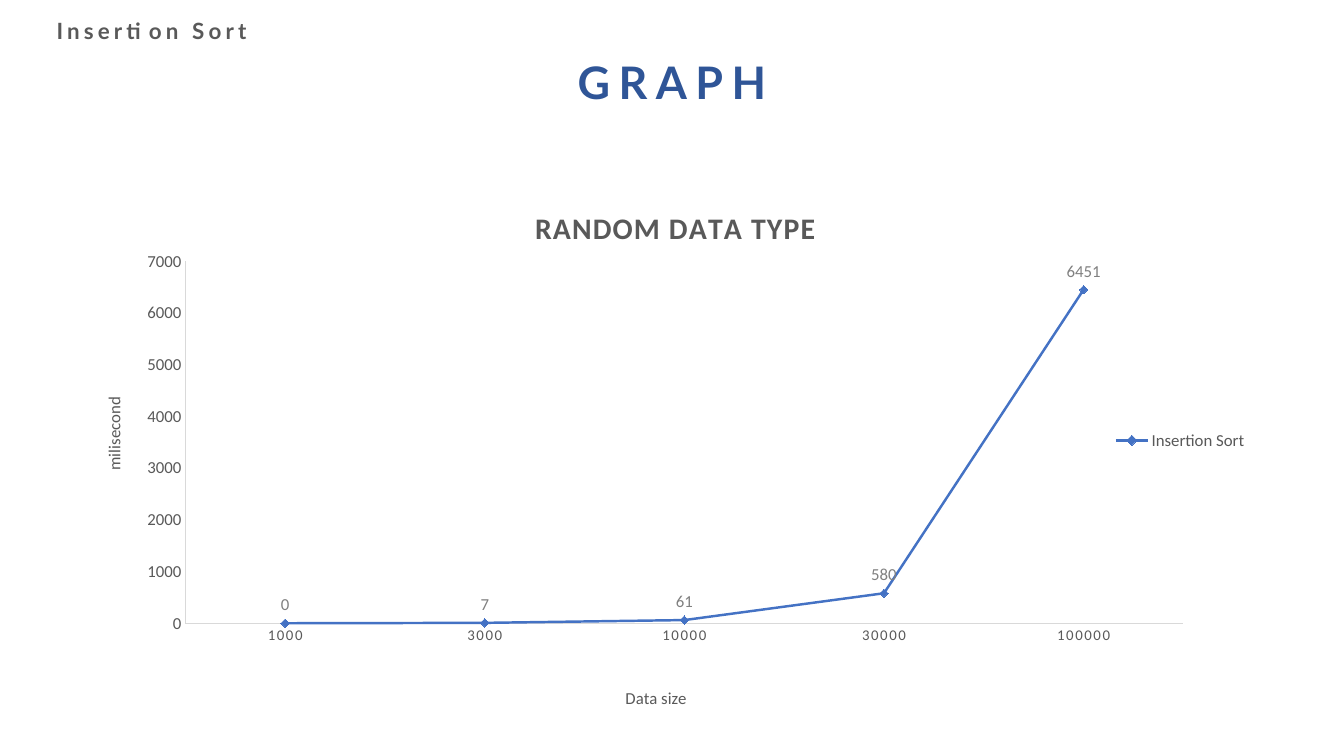
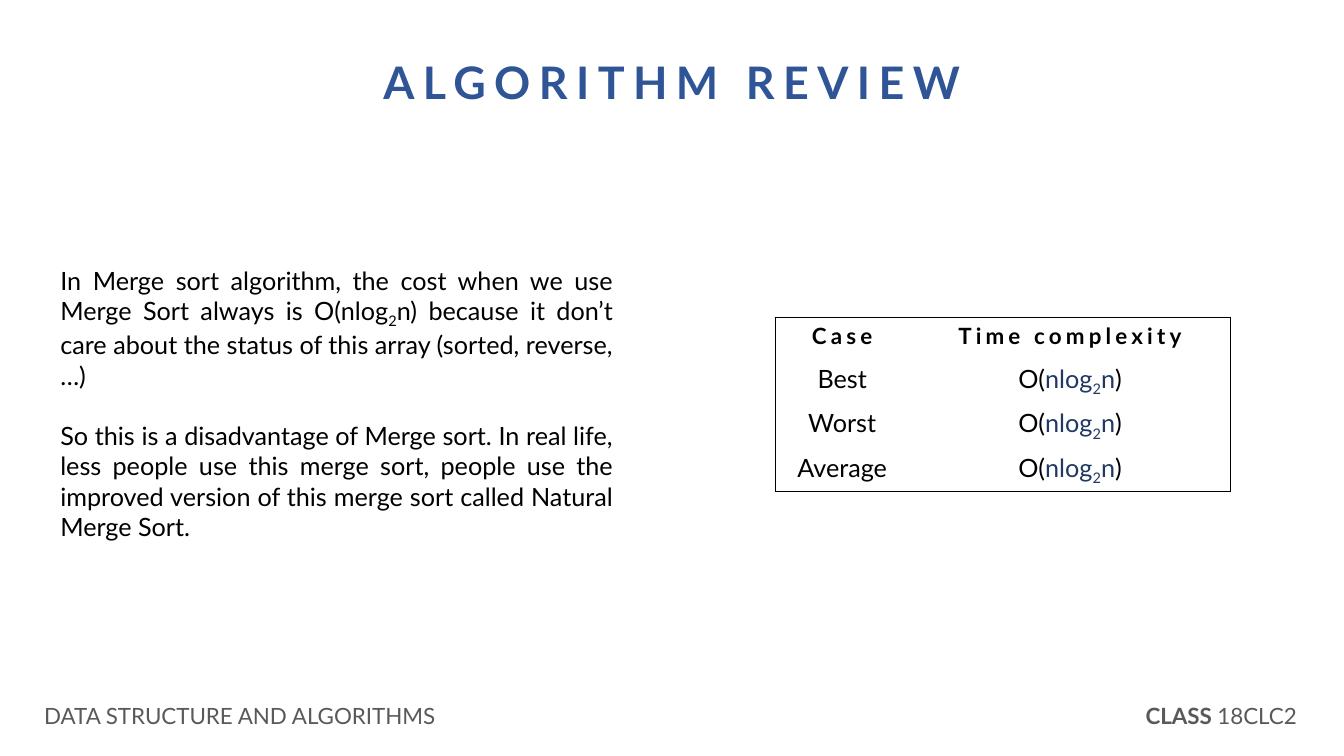
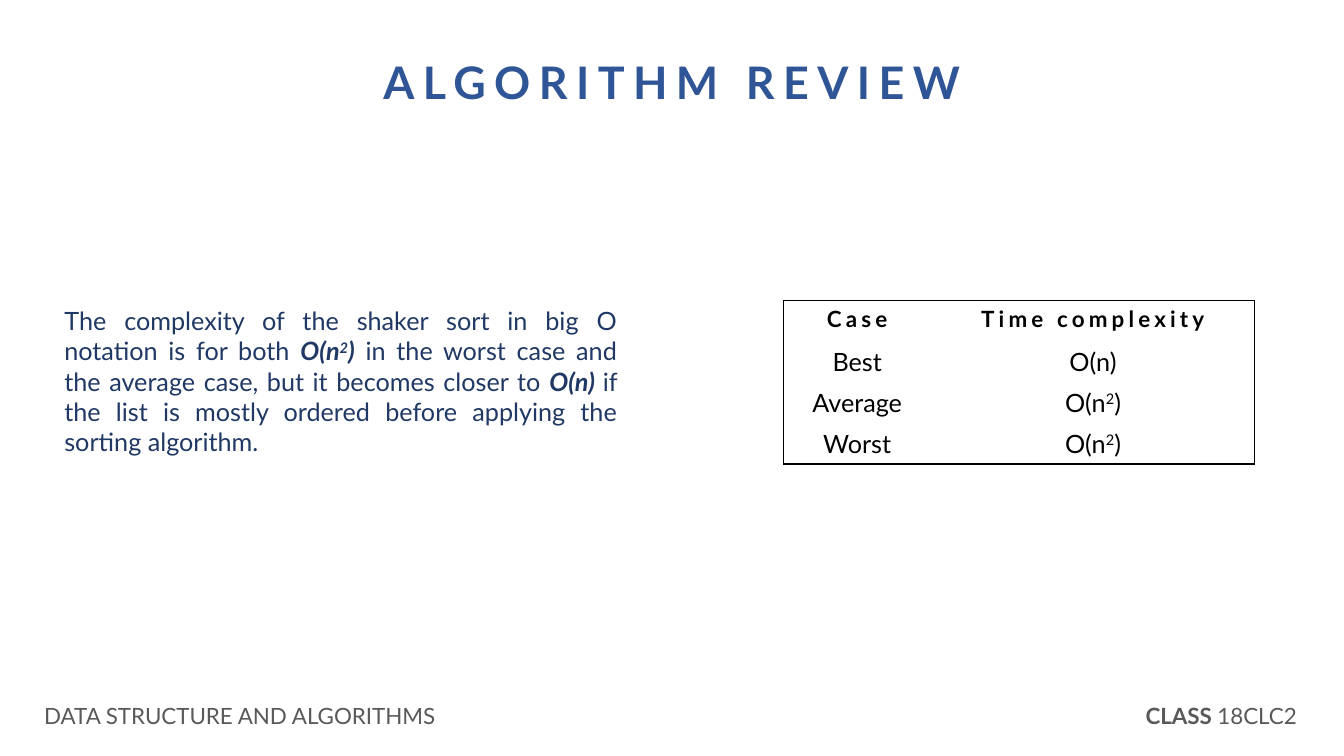
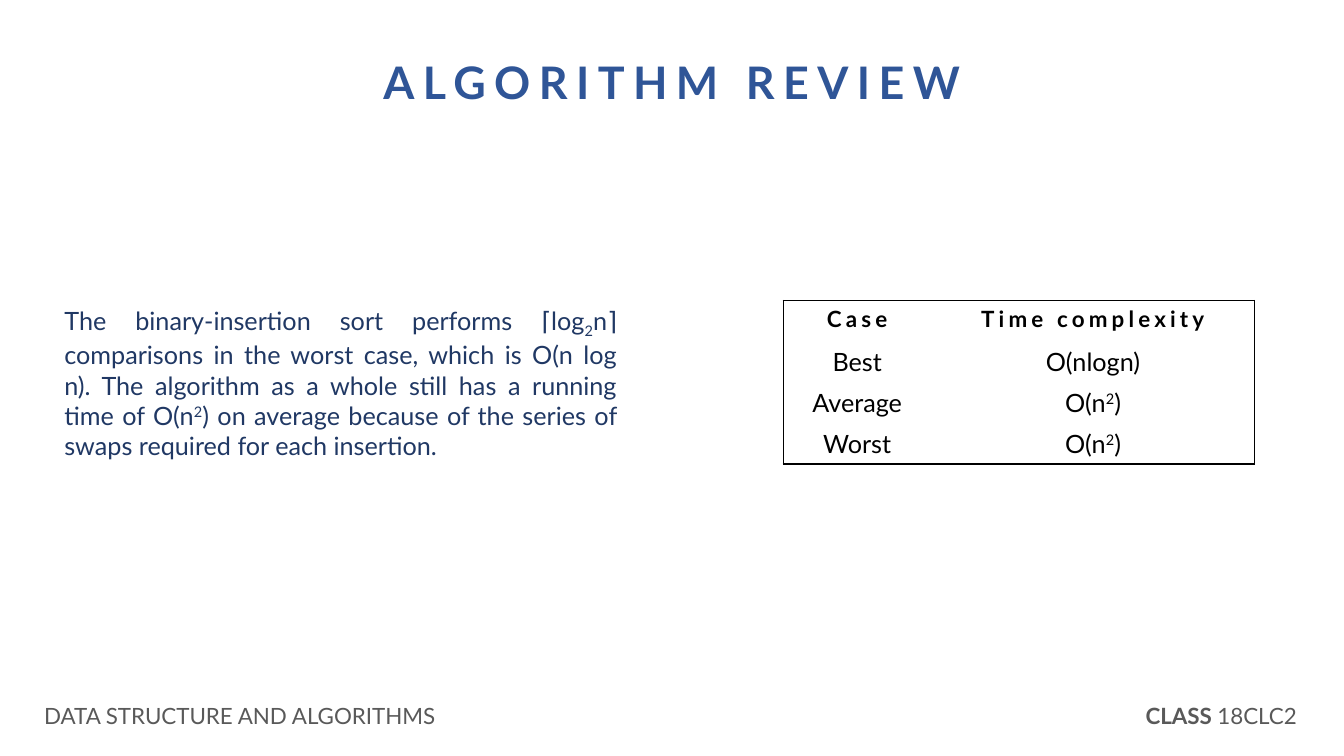
import pptx
import pptx.chart.data
import pptx.dml.color
import pptx.enum.chart
import pptx.enum.text
import pptx.oxml
import pptx.oxml.ns
import pptx.util

Pt = pptx.util.Pt
color = pptx.dml.color.RGBColor.from_string
qn = pptx.oxml.ns.qn
align = pptx.enum.text.PP_ALIGN
BLUE, NAVY, GRAY, BLACK = "2F5597", "203864", "595959", "000000"
AXIS_LINE, SERIES_LINE, LABEL_GRAY = "D9D9D9", "4472C4", "808080"
SUB = {"baseline": "-25000"}
SUP = {"baseline": "30000"}
STRONG = {"b": "1", "i": "1"}
SLIDE_WIDTH, SLIDE_HEIGHT = 960, 540


def write(paragraph, runs, size, hue, bold=False, spacing=0, alignment=align.CENTER, face="Lato"):
    paragraph.alignment = alignment
    paragraph.font.size = Pt(size)
    paragraph.font.name = face
    paragraph.font.bold = bold
    paragraph.font.color.rgb = color(hue)
    for text, marks in [(runs, {})] if isinstance(runs, str) else runs:
        run = paragraph.add_run()
        run.text = text
        if spacing:
            run.font._element.set("spc", str(int(spacing * 100)))
        for key, value in marks.items():
            if key == "color":
                run.font.color.rgb = color(value)
            else:
                run.font._element.set(key, value)


def add_text(slide, box, paragraphs, size, hue, gap=0, **style):
    frame = slide.shapes.add_textbox(*map(Pt, box)).text_frame
    frame.word_wrap = True
    frame.auto_size = pptx.enum.text.MSO_AUTO_SIZE.SHAPE_TO_FIT_TEXT
    for index, runs in enumerate(paragraphs):
        paragraph = frame.add_paragraph() if index else frame.paragraphs[0]
        if index:
            paragraph.space_before = Pt(gap)
        write(paragraph, runs, size, hue, **style)


deck = pptx.Presentation()
deck.slide_width, deck.slide_height = Pt(SLIDE_WIDTH), Pt(SLIDE_HEIGHT)

n_log_n = [("O(", {}), ("nlog", {"color": NAVY}), ("2", {"color": NAVY, **SUB}),
           ("n", {"color": NAVY}), (")", {})]
n_squared = [("O(n", {}), ("2", SUP), (")", {})]

reviews = [
    {
        "body_box": (36, 185.8, 409, 181.4),
        "hue": BLACK,
        "body": [
            [("In Merge sort algorithm, the cost when we use Merge Sort always is O(nlog", {}),
             ("2", SUB),
             ("n) because it don’t care about the status of this array (sorted, reverse, …)", {})],
            "So this is a disadvantage of Merge sort. In real life, less people use this merge sort, "
            "people use the improved version of this merge sort called Natural Merge Sort.",
        ],
        "table_at": (553.7, 226.8),
        "columns": (95.8, 229.7),
        "cases": [("Best", n_log_n), ("Worst", n_log_n), ("Average", n_log_n)],
    },
    {
        "body_box": (38.9, 214.6, 409, 116.6),
        "hue": NAVY,
        "body": [
            [("The complexity of the shaker sort in big O notation is for both ", {}),
             ("O(n", STRONG), ("2", {**STRONG, **SUP}), (")", STRONG),
             (" in the worst case and the average case, but it becomes closer to ", {}),
             ("O(n) ", STRONG),
             ("if the list is mostly ordered before applying the sorting algorithm.", {})],
        ],
        "table_at": (559.4, 214.6),
        "columns": (105.8, 231.1),
        "cases": [("Best", "O(n)"), ("Average", n_squared), ("Worst", n_squared)],
    },
    {
        "body_box": (38.9, 214.6, 409, 116.6),
        "hue": NAVY,
        "body": [
            [("The binary-insertion sort performs ⌈log", {}), ("2", SUB),
             ("n⌉ comparisons in the worst case, which is O(n log n). "
              "The algorithm as a whole still has a running time of O(n", {}),
             ("2", SUP),
             (") on average because of the series of swaps required for each insertion.", {})],
        ],
        "table_at": (559.4, 214.6),
        "columns": (105.8, 231.1),
        "cases": [("Best", "O(nlogn)"), ("Average", n_squared), ("Worst", n_squared)],
    },
]

slides = []
for title, width in [("GRAPH", 191.5)] + [("ALGORITHM REVIEW", 496)] * len(reviews):
    slide = deck.slides.add_slide(deck.slide_layouts[6])
    add_text(slide, ((SLIDE_WIDTH - width) / 2, 35.3, width, 46), [title], 32, BLUE, bold=True, spacing=6)
    slides.append(slide)

add_text(slides[0], (29.5, 8.6, 157.7, 26.6), ["Insertion Sort"], 16, GRAY, bold=True, spacing=3)

timings = pptx.chart.data.CategoryChartData()
timings.categories = ["1000", "3000", "10000", "30000", "100000"]
timings.add_series("Insertion Sort", [0, 7, 61, 580, 6451])
chart = slides[0].shapes.add_chart(
    pptx.enum.chart.XL_CHART_TYPE.LINE_MARKERS, Pt(66.2), Pt(126.7), Pt(828), Pt(386.6), timings).chart
chart.font.name = "Calibri"
chart.font.size = Pt(10)
chart.font.color.rgb = color(BLACK)

chart.has_title = True
sizes, milliseconds = chart.category_axis, chart.value_axis
for titled, text, size, bold, spacing in [
    (chart.chart_title, "RANDOM DATA TYPE", 21.28, True, 1),
    (sizes.axis_title, "Data size", 12, False, 0),
    (milliseconds.axis_title, "milisecond", 12, False, 0),
]:
    write(titled.text_frame.paragraphs[0], text, size, GRAY, bold=bold, spacing=spacing, face="Calibri")
upright = milliseconds.axis_title.text_frame._txBody.find(qn("a:bodyPr"))
upright.set("rot", "-5400000")
upright.set("vert", "horz")

for axis, size in [(sizes, 10.6), (milliseconds, 12)]:
    axis.has_major_gridlines = False
    axis.major_tick_mark = pptx.enum.chart.XL_TICK_MARK.NONE
    axis.minor_tick_mark = pptx.enum.chart.XL_TICK_MARK.NONE
    axis.format.line.color.rgb = color(AXIS_LINE)
    axis.format.line.width = Pt(0.75)
    axis.tick_labels.font.size = Pt(size)
    axis.tick_labels.font.name = "Calibri"
    axis.tick_labels.font.color.rgb = color(GRAY)
sizes.tick_labels.font._element.set("spc", "120")
milliseconds.minimum_scale, milliseconds.maximum_scale, milliseconds.major_unit = 0, 7000, 1000

chart.has_legend = True
chart.legend.position = pptx.enum.chart.XL_LEGEND_POSITION.RIGHT
chart.legend.include_in_layout = False
chart.legend.font.size = Pt(12)
chart.legend.font.name = "Calibri"
chart.legend.font.color.rgb = color(GRAY)

chart.plots[0].vary_by_categories = False
curve = chart.plots[0].series[0]
curve.smooth = False
curve.format.line.color.rgb = color(SERIES_LINE)
curve.format.line.width = Pt(1.75)
curve.marker.style = pptx.enum.chart.XL_MARKER_STYLE.DIAMOND
curve.marker.size = 6
curve.marker.format.fill.solid()
curve.marker.format.fill.fore_color.rgb = color(SERIES_LINE)
curve.marker.format.line.color.rgb = color(SERIES_LINE)
curve.data_labels.show_value = True
curve.data_labels.position = pptx.enum.chart.XL_LABEL_POSITION.ABOVE
curve.data_labels.font.size = Pt(12)
curve.data_labels.font.name = "Calibri"
curve.data_labels.font.color.rgb = color(LABEL_GRAY)

for part, index, place in [
    (chart._chartSpace.chart.plotArea, 0,
     {"layoutTarget": "inner", "xMode": "edge", "yMode": "edge", "x": 0.08, "y": 0.155, "w": 0.861, "h": 0.669}),
    (chart.chart_title._element, 1, {"xMode": "edge", "yMode": "edge", "x": 0.377, "y": 0.045}),
    (sizes.axis_title._element, 1, {"xMode": "edge", "yMode": "edge", "x": 0.457, "y": 0.936}),
    (milliseconds.axis_title._element, 1, {"xMode": "edge", "yMode": "edge", "x": 0.006, "y": 0.4}),
    (chart.legend._element, 1, {"xMode": "edge", "yMode": "edge", "x": 0.878, "y": 0.46}),
]:
    for automatic in part.findall(qn("c:layout")):
        part.remove(automatic)
    settings = "".join(f'<c:{key} val="{value}"/>' for key, value in place.items())
    part.insert(index, pptx.oxml.parse_xml(
        f'<c:layout {pptx.oxml.ns.nsdecls("c")}><c:manualLayout>{settings}</c:manualLayout></c:layout>'))

for slide, review in zip(slides[1:], reviews):
    add_text(slide, (784.8, 498.2, 175, 26.6), [[("CLASS ", {"b": "1"}), ("18CLC2", {})]], 16, GRAY)
    add_text(slide, (0, 498.2, 342.7, 26.6), ["DATA STRUCTURE AND ALGORITHMS"], 16, GRAY)
    add_text(slide, review["body_box"], review["body"], 18, review["hue"], gap=21.6, alignment=align.JUSTIFY)

    rows = [("Case", "Time complexity")] + review["cases"]
    columns = review["columns"]
    table = slide.shapes.add_table(
        len(rows), len(columns), *map(Pt, review["table_at"]), Pt(sum(columns)), Pt(29.2 * len(rows))).table
    table.first_row = table.horz_banding = False
    table._tbl.tblPr.find(qn("a:tableStyleId")).text = "{2D5ABB26-0587-4C30-8999-92F81FD0307C}"
    for column, width in zip(table.columns, columns):
        column.width = Pt(width)
    for r, row in enumerate(rows):
        for c, content in enumerate(row):
            cell = table.cell(r, c)
            heading = r == 0
            write(cell.text_frame.paragraphs[0], content, 16 if heading else 18, BLACK,
                  bold=heading, spacing=3 if heading else 0)
            outer = {"L": c == 0, "R": c == len(columns) - 1, "T": heading, "B": r == len(rows) - 1}
            for side, drawn in outer.items():
                if drawn:
                    cell._tc.get_or_add_tcPr().append(pptx.oxml.parse_xml(
                        f'<a:ln{side} {pptx.oxml.ns.nsdecls("a")} w="12700"><a:solidFill>'
                        f'<a:srgbClr val="{BLACK}"/></a:solidFill></a:ln{side}>'))
            cell.fill.background()

deck.save("out.pptx")
